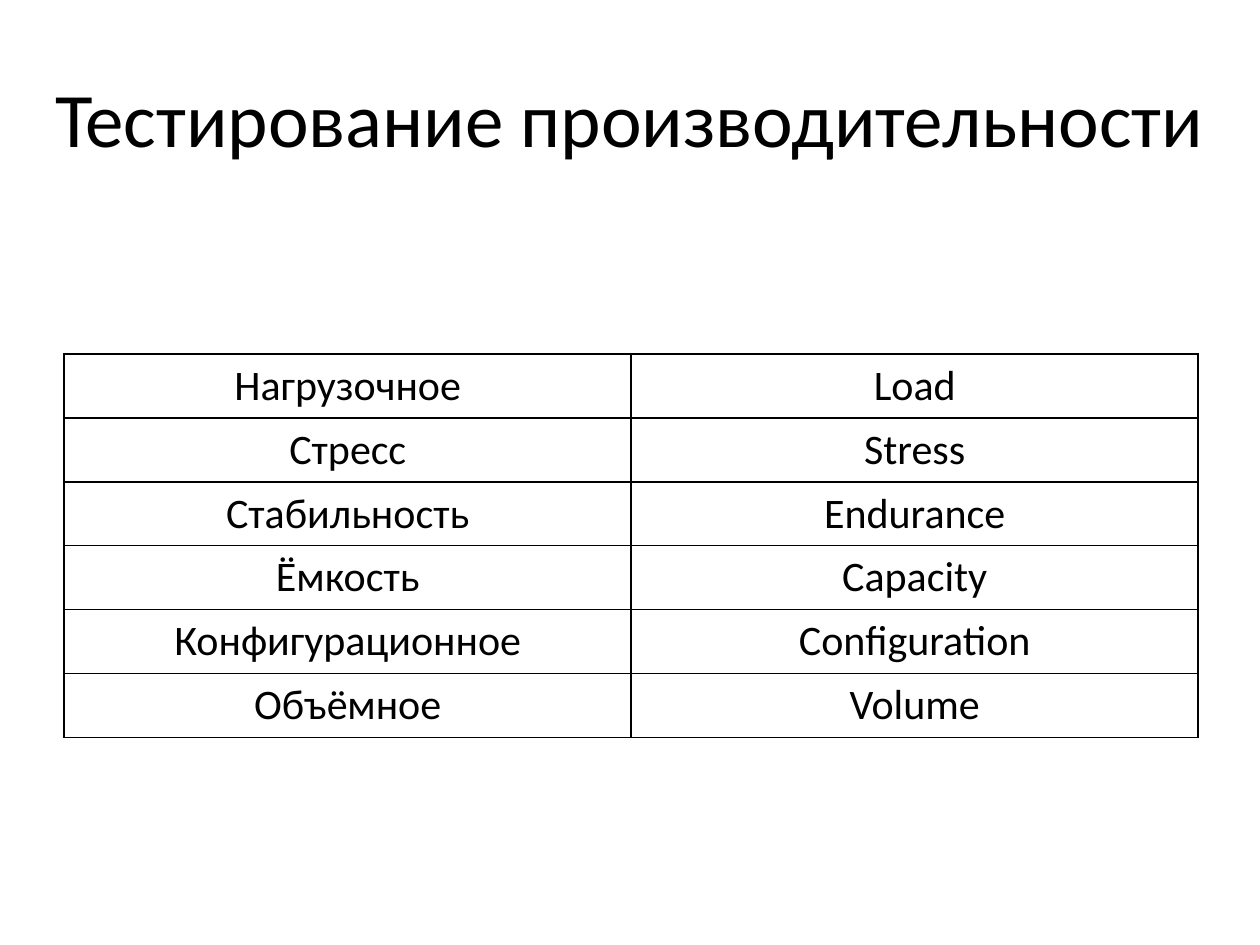
"""Build a slide listing performance testing types in Russian and English."""
from typing import NamedTuple

from lxml.etree import SubElement
from pptx import Presentation
from pptx.dml.color import RGBColor
from pptx.enum.text import MSO_ANCHOR, PP_ALIGN
from pptx.oxml.ns import qn
from pptx.util import Inches, Pt

BLACK = RGBColor(0x00, 0x00, 0x00)
WHITE = RGBColor(0xFF, 0xFF, 0xFF)
FONT = "Calibri"
COLUMN_WIDTH = Inches(4.5)
ROW_HEIGHT = Inches(0.5)


class TestingType(NamedTuple):
    russian: str
    english: str


TESTING_TYPES = [
    TestingType("Нагрузочное", "Load"),
    TestingType("Стресс", "Stress"),
    TestingType("Стабильность", "Endurance"),
    TestingType("Ёмкость", "Capacity"),
    TestingType("Конфигурационное", "Configuration"),
    TestingType("Объёмное", "Volume"),
]


def write_centred(text_frame, text: str, size: int) -> None:
    text_frame.text = text
    paragraph = text_frame.paragraphs[0]
    paragraph.alignment = PP_ALIGN.CENTER
    font = paragraph.runs[0].font
    font.name, font.size, font.bold = FONT, Pt(size), False
    font.color.rgb = BLACK


def add_borders(cell) -> None:
    properties = cell._tc.get_or_add_tcPr()
    for position, side in enumerate(("a:lnL", "a:lnR", "a:lnT", "a:lnB")):
        border = SubElement(properties, qn(side), w=str(Pt(1)))
        fill = SubElement(border, qn("a:solidFill"))
        SubElement(fill, qn("a:srgbClr"), val=str(BLACK))
        properties.insert(position, border)


def add_title(slide, text: str) -> None:
    title = slide.shapes.title
    title.left, title.top = Inches(0), Inches(0.3)
    title.width, title.height = Inches(10), Inches(1.25)
    title.text_frame.vertical_anchor = MSO_ANCHOR.MIDDLE
    write_centred(title.text_frame, text, 44)


def add_testing_table(slide, testing_types: list[TestingType]) -> None:
    row_count, column_count = len(testing_types), len(TestingType._fields)
    table = slide.shapes.add_table(
        row_count, column_count, Inches(0.51), Inches(2.81),
        COLUMN_WIDTH * column_count, ROW_HEIGHT * row_count,
    ).table
    table.first_row = table.horz_banding = False
    for row, testing_type in zip(table.rows, testing_types):
        for cell, term in zip(row.cells, testing_type):
            write_centred(cell.text_frame, term, 24)
            cell.fill.background()
            add_borders(cell)


def main() -> None:
    presentation = Presentation()
    presentation.slide_width, presentation.slide_height = Inches(10), Inches(7.5)
    slide = presentation.slides.add_slide(presentation.slide_layouts[5])
    slide.background.fill.solid()
    slide.background.fill.fore_color.rgb = WHITE
    add_title(slide, "Тестирование производительности")
    add_testing_table(slide, TESTING_TYPES)
    presentation.save("out.pptx")


if __name__ == "__main__":
    main()
